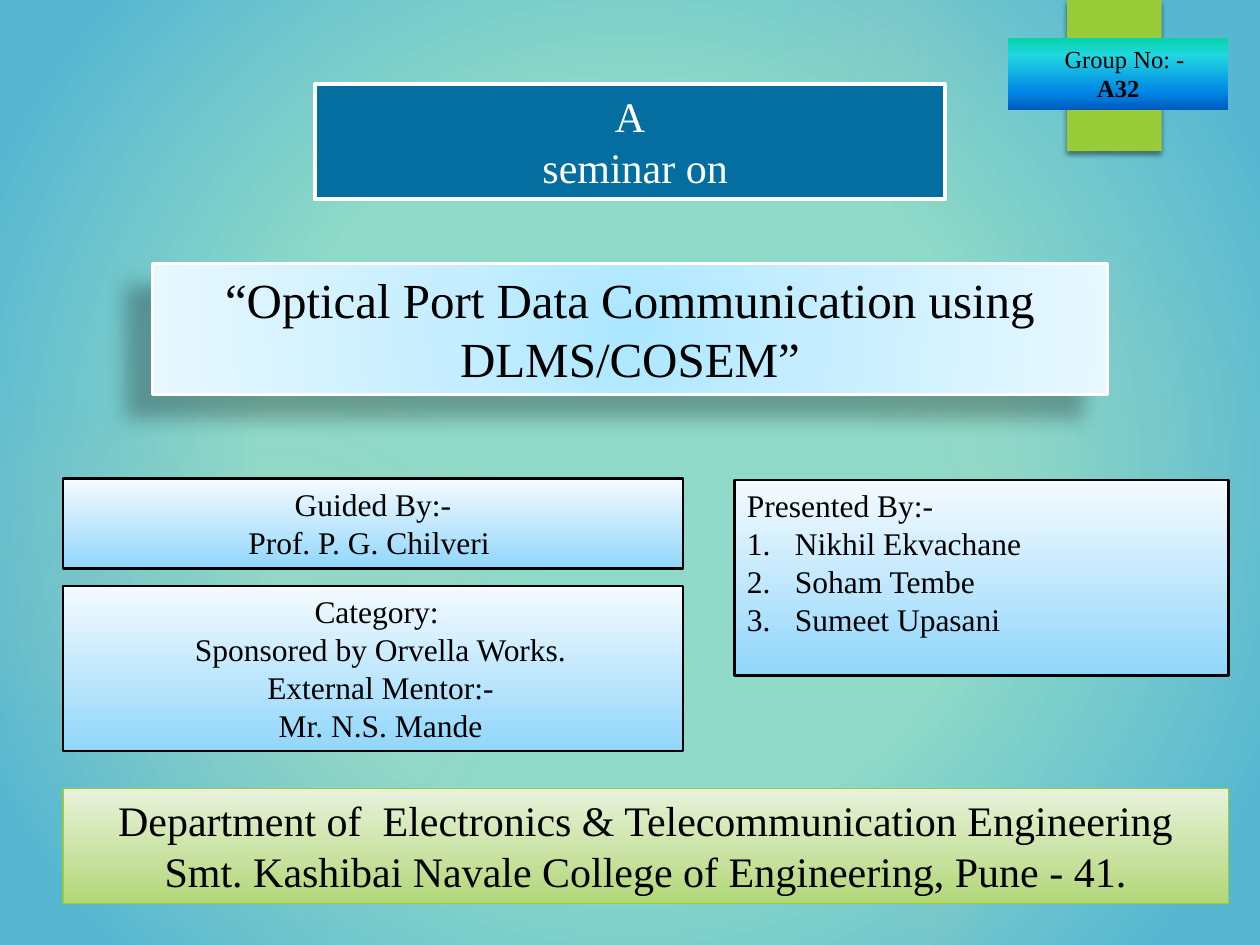
from lxml.etree import SubElement
from pptx import Presentation
from pptx.dml.color import RGBColor
from pptx.enum.shapes import MSO_SHAPE
from pptx.enum.text import MSO_ANCHOR, MSO_AUTO_SIZE, PP_ALIGN
from pptx.oxml.ns import qn
from pptx.util import Inches, Pt

THEME = {
    "font": "Times New Roman",
    "black": "000000",
    "white": "FFFFFF",
    "heading": "056EA0",
    "accent": "99CB38",
    "glow": "AFC5B9",
    "backdrop": [(46, "8FDAC8"), (90, "57B7D1")],
    "topic": [(0, "ACE7FF"), (35, "C4EDFF"), (100, "E8F8FF")],
    "people": [(0, "F5FBFF"), (100, "91D6FB")],
    "college": [(0, "E8F2DB"), (100, "B2D778")],
    "group": [(0, "03D4A8"), (25, "21D6E0"), (75, "0087E6"), (100, "005CBF")],
    "sizes": {"topic": 28, "large": 24, "body": 18, "small": 14},
}

GLOWS = [
    ((6.89, 1.83, 3.08), [(0, 7), (36, 6), (69, 0)]),
    ((6.22, -0.5, 1.75), [(0, 14), (36, 7), (73, 0)]),
    ((6.89, 6.67, 1.08), [(0, 14), (36, 7), (66, 0)]),
    ((-0.17, 2.92, 4.58), [(0, 11), (36, 10), (75, 0)]),
    ((-0.92, 3.17, 2.58), [(0, 8), (36, 8), (72, 0)]),
]
RIBBON = {"at": (8.47, 0, 0.75, 1.2), "fill": THEME["accent"], "shadow": (45, 3, 2, 90)}
PANELS = [
    {"at": (2.5, 0.67, 5, 0.91), "fill": THEME["heading"], "line": (THEME["white"], 2.25),
     "size": "large", "color": THEME["white"], "lines": ["A", " seminar on"]},
    {"at": (1.21, 2.09, 7.58, 1.04), "fill": THEME["topic"], "radial": True,
     "line": (THEME["white"], 1.5), "shadow": (28, 11.8, 19.7, 141), "size": "topic",
     "title": True, "lines": ["“Optical Port Data Communication using DLMS/COSEM”"]},
    {"at": (0.5, 3.8, 4.92, 0.71), "fill": THEME["people"], "line": (THEME["black"], 1.5),
     "lines": ["Guided By:-", "Prof. P. G. Chilveri "]},
    {"at": (5.83, 3.81, 3.92, 1.55), "fill": THEME["people"], "line": (THEME["black"], 1.5),
     "align": PP_ALIGN.LEFT, "lines": ["Presented By:-"],
     "numbered": ["Nikhil Ekvachane", "Soham Tembe", "Sumeet Upasani"]},
    {"at": (0.5, 6.26, 9.25, 0.91), "fill": THEME["college"], "line": (THEME["accent"], 0.75),
     "size": "large",
     "lines": ["Department of  Electronics & Telecommunication Engineering",
               "Smt. Kashibai Navale College of Engineering, Pune - 41."]},
    {"at": (0.5, 4.65, 4.92, 1.31), "fill": THEME["people"], "line": (THEME["black"], 1.5),
     "indents": [0.12] * 4,
     "lines": ["Category: ", "Sponsored by Orvella Works.", "External Mentor:-", "Mr. N.S. Mande"]},
    {"at": (8, 0.3, 1.75, 0.57), "fill": THEME["group"], "size": "small",
     "indents": [0.1, 0], "bold": ["A32"], "lines": ["Group No: -", "A32"]},
]


def add_color(parent, color, opacity=100):
    node = SubElement(parent, qn("a:srgbClr"), val=color)
    if opacity < 100:
        SubElement(node, qn("a:alpha"), val=str(opacity * 1000))


def paint_gradient(holder, stops, radial):
    solid = holder.find(qn("a:solidFill"))
    gradient = SubElement(holder, qn("a:gradFill"), rotWithShape="1")
    holder.replace(solid, gradient)
    stop_list = SubElement(gradient, qn("a:gsLst"))
    for position, *color in stops:
        add_color(SubElement(stop_list, qn("a:gs"), pos=str(position * 1000)), *color)
    if radial:
        circle = SubElement(gradient, qn("a:path"), {"path": "circle"})
        SubElement(circle, qn("a:fillToRect"), dict.fromkeys("ltrb", "50000"))
    else:
        SubElement(gradient, qn("a:lin"), ang="5400000", scaled="0")


def paint(shape, fill, radial=False, line=None, shadow=None):
    shape.shadow.inherit = False
    properties = shape.element.spPr
    shape.fill.solid()
    if isinstance(fill, str):
        shape.fill.fore_color.rgb = RGBColor.from_string(fill)
    else:
        paint_gradient(properties, fill, radial)
    if line:
        shape.line.color.rgb = RGBColor.from_string(line[0])
        shape.line.width = Pt(line[1])
    else:
        shape.line.fill.background()
    if shadow:
        opacity, blur, distance, angle = shadow
        outer = SubElement(properties.find(qn("a:effectLst")), qn("a:outerShdw"),
                           blurRad=str(Pt(blur)), dist=str(Pt(distance)),
                           dir=str(angle * 60000), rotWithShape="0")
        add_color(outer, THEME["black"], opacity)


def write(shape, panel):
    frame = shape.text_frame
    frame_format = {"word_wrap": True, "auto_size": MSO_AUTO_SIZE.NONE,
                    "vertical_anchor": MSO_ANCHOR.TOP}
    for name, value in frame_format.items():
        setattr(frame, name, value)
    numbered = panel.get("numbered", [])
    lines = panel["lines"] + numbered
    indents = panel.get("indents", [0] * len(lines))
    for index, (line, indent) in enumerate(zip(lines, indents)):
        paragraph = frame.paragraphs[0] if index == 0 else frame.add_paragraph()
        paragraph.alignment = panel.get("align", PP_ALIGN.CENTER)
        properties = paragraph._p.get_or_add_pPr()
        if line in numbered:
            properties.set("marL", str(Inches(0.38)))
            properties.set("indent", str(-Inches(0.38)))
            SubElement(properties, qn("a:buFont"), typeface="+mj-lt")
            SubElement(properties, qn("a:buAutoNum"), type="arabicPeriod")
        elif indent:
            properties.set("marL", str(Inches(indent)))
        run = paragraph.add_run()
        run.text = line
        font_format = {"name": THEME["font"], "bold": line in panel.get("bold", []),
                       "size": Pt(THEME["sizes"][panel.get("size", "body")])}
        for name, value in font_format.items():
            setattr(run.font, name, value)
        run.font.color.rgb = RGBColor.from_string(panel.get("color", THEME["black"]))


def place_title(slide, at):
    title = slide.shapes.title
    for name, value in zip(("left", "top", "width", "height"), at):
        setattr(title, name, value)
    slide.shapes._spTree.append(title.element)
    return title


def main():
    deck = Presentation()
    deck.slide_width, deck.slide_height = Inches(10), Inches(7.5)
    slide = deck.slides.add_slide(deck.slide_layouts[5])
    slide.background.fill.solid()
    paint_gradient(slide.element.xpath(".//p:bgPr")[0], THEME["backdrop"], True)

    for (left, top, diameter), stops in GLOWS:
        glow = slide.shapes.add_shape(
            MSO_SHAPE.OVAL, *map(Inches, (left, top, diameter, diameter)))
        paint(glow, [(position, THEME["glow"], opacity) for position, opacity in stops], True)

    for panel in [RIBBON, *PANELS]:
        at = [Inches(length) for length in panel["at"]]
        if panel.get("title"):
            shape = place_title(slide, at)
        else:
            shape = slide.shapes.add_shape(MSO_SHAPE.RECTANGLE, *at)
        paint(shape, panel["fill"], panel.get("radial", False),
              panel.get("line"), panel.get("shadow"))
        if "lines" in panel:
            write(shape, panel)
    deck.save("out.pptx")


if __name__ == "__main__":
    main()
